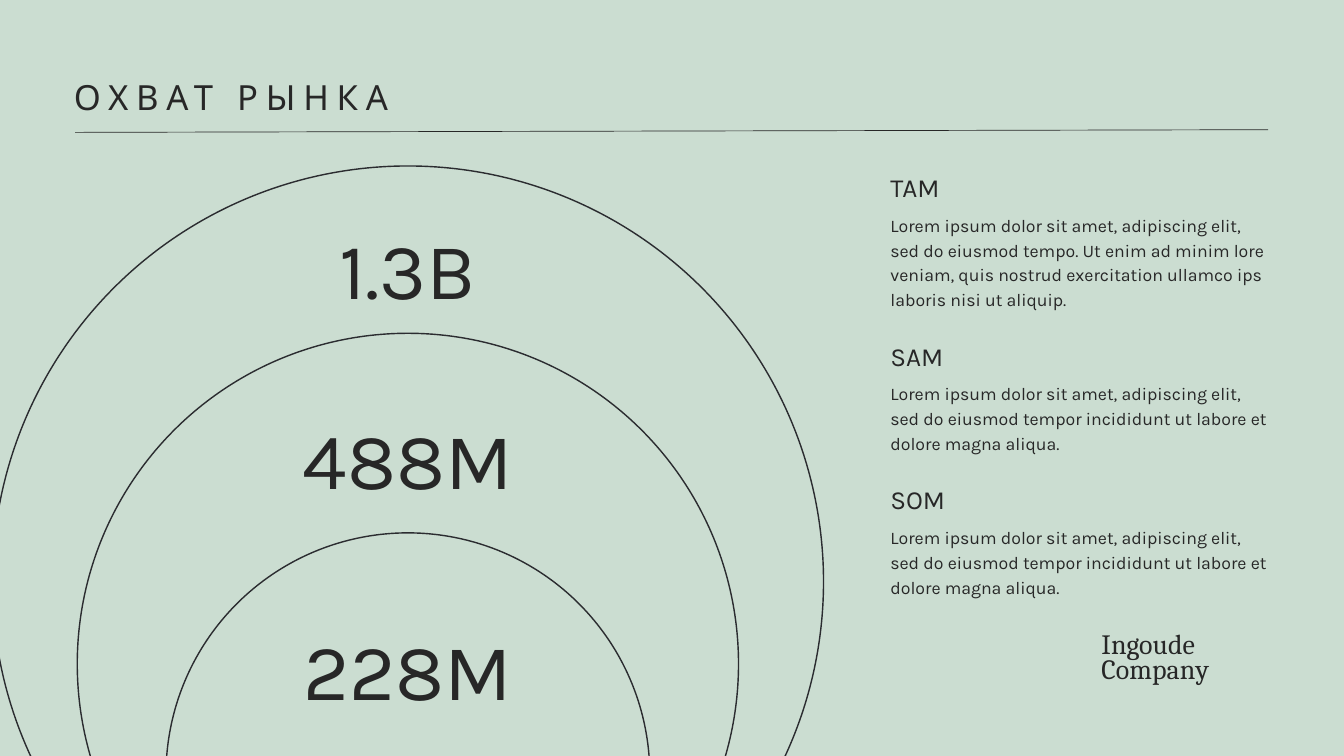
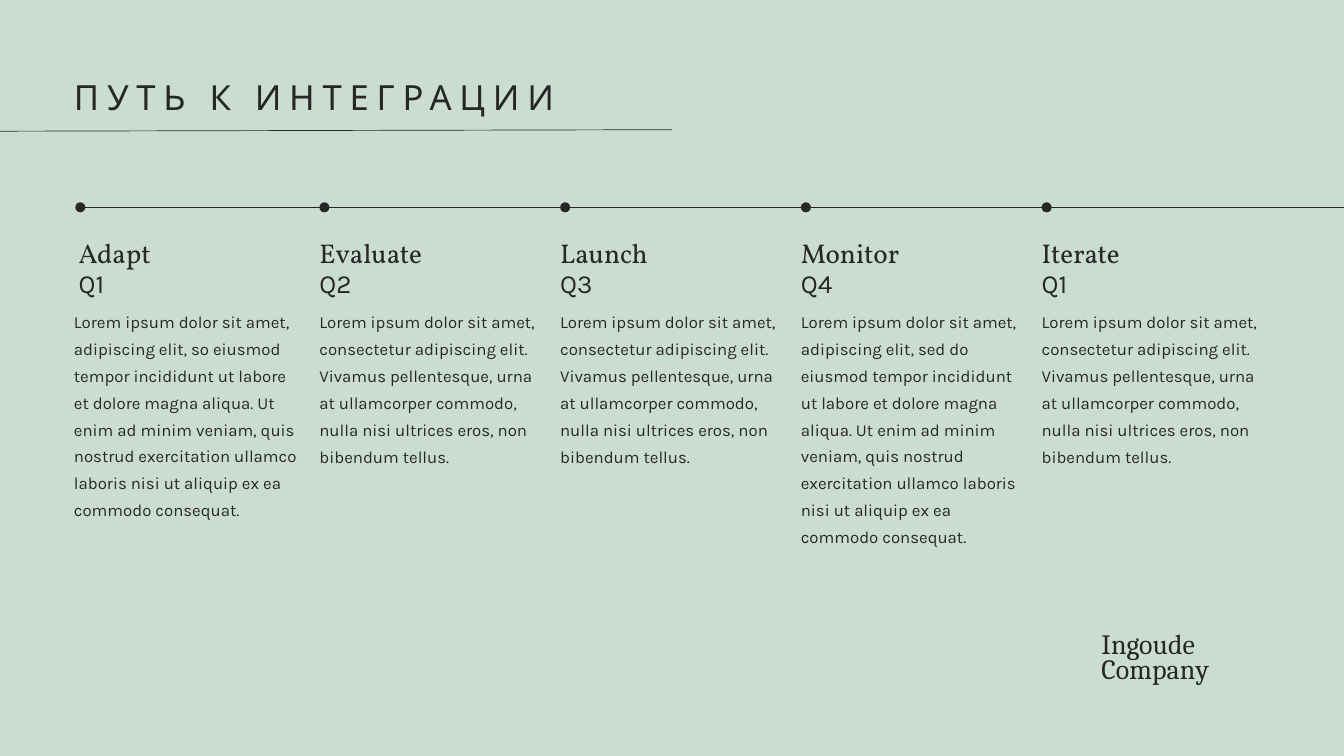
from lxml import etree
from pptx import Presentation
from pptx.dml.color import RGBColor
from pptx.enum.shapes import MSO_CONNECTOR as Connector, MSO_SHAPE as Shape
from pptx.enum.text import MSO_ANCHOR as Anchor, MSO_AUTO_SIZE as AutoSize, PP_ALIGN as Align
from pptx.oxml.ns import qn
from pptx.util import Inches, Pt

COLOURS = {"background": "CBDDD1", "ink": "272727", "ring": "2B2C30"}
SANS, SERIF, BRAND_FONT = "Karla", "Vollkorn", "Cambria"
TITLE_ONLY = 5

# Market sizes: value, text top, ring top, ring diameter
RING_CENTRE = 6.07
MARKETS = [
    ("1.3B", 2.8, 2.47, 12.37),
    ("488M", 5.62, 4.96, 9.84),
    ("228M", 8.76, 7.93, 7.2),
]

LOREM_SHORT = (
    "Lorem ipsum dolor sit amet, adipiscing elit, sed do eiusmod tempor "
    "incididunt ut labore et dolore magna aliqua."
)
LOREM_STEP = (
    "Lorem ipsum dolor sit amet, consectetur adipiscing elit. Vivamus pellentesque, "
    "urna at ullamcorper commodo, nulla nisi ultrices eros, non bibendum tellus."
)
LOREM_LONG = (
    "Lorem ipsum dolor sit amet, adipiscing elit, {} eiusmod tempor incididunt ut labore "
    "et dolore magna aliqua. Ut enim ad minim veniam, quis nostrud exercitation ullamco "
    "laboris nisi ut aliquip ex ea commodo consequat."
)

# Definitions: heading, text, text height
DEFINITIONS = [
    ("TAM", "Lorem ipsum dolor sit amet, adipiscing elit, sed do eiusmod tempo. "
            "Ut enim ad minim lore veniam, quis nostrud exercitation ullamco ips "
            "laboris nisi ut aliquip.", 1.44),
    ("SAM", LOREM_SHORT, 1.07),
    ("SOM", LOREM_SHORT, 1.07),
]

# Timeline steps: name, quarter, text, text height
STEPS = [
    ("Adapt", "Q1", LOREM_LONG.format("so"), 3.14),
    ("Evaluate", "Q2", LOREM_STEP, 2.35),
    ("Launch", "Q3", LOREM_STEP, 2.35),
    ("Monitor", "Q4", LOREM_LONG.format("sed do"), 3.54),
    ("Iterate", "Q1", LOREM_STEP, 2.35),
]
FIRST_STEP, LAST_STEP = 1.17, 15.5


def colour(name):
    return RGBColor.from_string(COLOURS[name])


def write(box, text, size, leading, font=SANS, align=Align.LEFT, tracking=0):
    """Fill a text box or placeholder with one paragraph."""
    frame = box.text_frame
    frame.word_wrap = True
    frame.auto_size = AutoSize.NONE
    frame.vertical_anchor = Anchor.TOP
    frame.margin_left = frame.margin_right = frame.margin_top = frame.margin_bottom = 0
    para = frame.paragraphs[0]
    para.alignment = align
    para.line_spacing = Pt(leading)
    span = para.add_run()
    span.text = text
    para.font.name = font
    para.font.size = Pt(size)
    para.font.color.rgb = colour("ink")
    if tracking:
        span.font._element.set("spc", str(round(tracking * 100)))


def add_text(page, left, top, width, height, text, size, leading, **style):
    box = page.shapes.add_textbox(Inches(left), Inches(top), Inches(width), Inches(height))
    write(box, text, size, leading, **style)


def add_line(page, x1, y1, x2, y2):
    line = page.shapes.add_connector(
        Connector.STRAIGHT, Inches(x1), Inches(y1), Inches(x2), Inches(y2))
    line.line.color.rgb = colour("ink")
    line.line.width = Pt(0.75)
    etree.SubElement(line._element.spPr, qn("a:effectLst"))


def add_circle(page, left, top, diameter):
    circle = page.shapes.add_shape(
        Shape.OVAL, Inches(left), Inches(top), Inches(diameter), Inches(diameter))
    circle.shadow.inherit = False
    return circle


def add_ring(page, top, diameter):
    ring = add_circle(page, RING_CENTRE - diameter / 2, top, diameter)
    ring.fill.background()
    ring.line.color.rgb = colour("ring")
    ring.line.width = Pt(1.5)


def add_dot(page, left, top):
    dot = add_circle(page, left, top, 0.15)
    dot.fill.solid()
    dot.fill.fore_color.rgb = colour("ink")
    dot.line.fill.background()


def add_page(deck, title, rule_start, rule_end):
    """Add a slide with the shared title, rule and company name."""
    page = deck.slides.add_slide(deck.slide_layouts[TITLE_ONLY])
    heading = page.shapes.title
    heading.left, heading.top = Inches(1.1), Inches(1.03)
    heading.width, heading.height = Inches(17.75), Inches(0.71)
    write(heading, title, 37.1, 52, tracking=8.4)
    add_line(page, rule_start, 1.97, rule_end, 1.93)
    add_text(page, 16.39, 9.44, 1.84, 0.78, "Ingoude Company", 29.9, 27.2,
             font=BRAND_FONT, tracking=0.1)
    return page


def add_definitions(page):
    top = 2.47
    for heading, text, height in DEFINITIONS:
        add_text(page, 13.25, top, 5.63, 0.52, heading, 28, 39.2)
        add_text(page, 13.25, top + 0.67, 5.63, height, text, 19, 26.6)
        top += 0.67 + height + 0.4


def add_step(page, left, dot_left, text_left, step):
    name, quarter, text, height = step
    add_dot(page, dot_left, 3.01)
    add_text(page, left, 3.52, 3.05, 0.47, name, 29, 34.8, font=SERIF)
    add_text(page, left, 3.98, 3.05, 0.47, quarter, 28, 33.6)
    add_text(page, text_left, 4.54, 3.38, height, text, 18, 28.8)


def add_market_page(deck):
    page = add_page(deck, "ОХВАТ РЫНКА", 1.12, 18.87)
    # Nested rings, then their values
    for _, _, ring_top, diameter in MARKETS:
        add_ring(page, ring_top, diameter)
    for value, text_top, _, _ in MARKETS:
        add_text(page, RING_CENTRE - 2.8, text_top, 5.6, 1.77, value, 85.4, 136.6,
                 align=Align.CENTER)
    add_definitions(page)


def add_timeline_page(deck):
    page = add_page(deck, "ПУТЬ К ИНТЕГРАЦИИ", -7.75, 10)
    add_line(page, 1.23, 3.09, 20.26, 3.09)
    pitch = (LAST_STEP - FIRST_STEP) / (len(STEPS) - 1)
    for index, step in enumerate(STEPS):
        left = FIRST_STEP + index * pitch
        # The first dot and text hang out to the page margin
        dot_left, text_left = (left, left) if index else (1.12, 1.1)
        add_step(page, left, dot_left, text_left, step)


def main():
    deck = Presentation()
    deck.slide_width, deck.slide_height = Inches(20), Inches(11.25)
    # Shared background
    fill = deck.slide_master.background.fill
    fill.solid()
    fill.fore_color.rgb = colour("background")
    add_market_page(deck)
    add_timeline_page(deck)
    deck.save("out.pptx")


if __name__ == "__main__":
    main()
